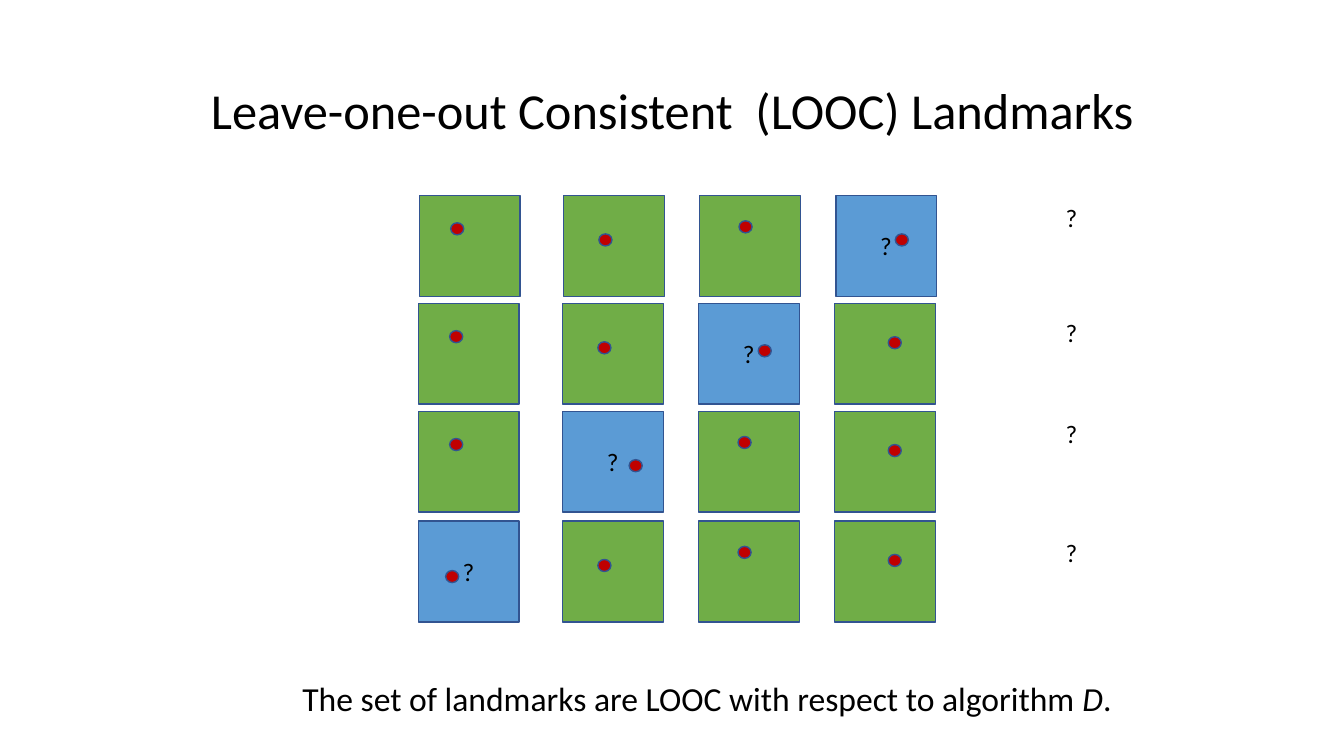
from dataclasses import dataclass

from pptx import Presentation
from pptx import util as u
from pptx.dml.color import RGBColor
from pptx.enum import shapes, text

PX = 9144


@dataclass(frozen=True)
class Theme:
    font: str = "Calibri"
    ink: str = "000000"
    known: str = "70AD47"
    left_out: str = "5B9BD5"
    landmark: str = "C00000"
    outline: str = "325491"
    title: int = 36
    caption: int = 24
    mark: int = 18


THEME = Theme()
CELL = 100
COLUMNS = (415, 558, 693, 828)
ROWS = ((1, 194), (0, 301), (0, 408), (0, 517))
KNOWN_DOTS = ((31, 27), (35, 38), (39, 25), (53, 33))
PREDICTED_DOTS = ((27, 49), (66, 48), (59, 41), (59, 38))
SIDE_MARKS = (196, 310, 410, 528)


def px(*lengths):
    return [u.Emu(n * PX) for n in lengths]


def add_text(s, box, runs, size, wrap=False, align=text.PP_ALIGN.LEFT,
             anchor=text.MSO_ANCHOR.TOP, spacing=1.0):
    tf = s.shapes.add_textbox(*px(*box)).text_frame
    tf.word_wrap = wrap
    tf.vertical_anchor = anchor
    p = tf.paragraphs[0]
    p.alignment = align
    p.line_spacing = spacing
    for words, italic in runs:
        r = p.add_run()
        r.text = words
        r.font.name = THEME.font
        r.font.size = u.Pt(size)
        r.font.italic = italic
        r.font.color.rgb = RGBColor.from_string(THEME.ink)


def add_shape(s, kind, box, fill):
    sp = s.shapes.add_shape(kind, *px(*box))
    sp.shadow.inherit = False
    sp.fill.solid()
    sp.fill.fore_color.rgb = RGBColor.from_string(fill)
    sp.line.color.rgb = RGBColor.from_string(THEME.outline)
    sp.line.width = u.Pt(1)


def add_mark(s, x, y):
    add_text(s, (x, y, 32, 40), [("?", False)], THEME.mark)


def add_cell(s, x, y, column, left_out):
    fill = THEME.left_out if left_out else THEME.known
    dx, dy = (PREDICTED_DOTS if left_out else KNOWN_DOTS)[column]
    add_shape(s, shapes.MSO_SHAPE.RECTANGLE, (x, y, CELL, CELL), fill)
    if left_out:
        add_mark(s, x + 34, y + 30)
    add_shape(s, shapes.MSO_SHAPE.OVAL, (x + dx, y + dy, 13, 12), THEME.landmark)


def main():
    """Build the slide of leave-one-out landmark rows."""
    prs = Presentation()
    prs.slide_width, prs.slide_height = px(1333, 750)
    s = prs.slides.add_slide(prs.slide_layouts[6])
    add_text(s, (92, 40, 1150, 145),
             [("Leave-one-out Consistent  (LOOC) Landmarks", False)],
             THEME.title, wrap=True, align=text.PP_ALIGN.CENTER,
             anchor=text.MSO_ANCHOR.MIDDLE, spacing=0.9)
    add_text(s, (290, 668, 830, 50),
             [("The set of landmarks are LOOC with respect to algorithm ", False),
              ("D", True), (".", False)], THEME.caption)
    for row, (shift, y) in enumerate(ROWS):
        for column, x in enumerate(COLUMNS):
            add_cell(s, x + shift, y, column, row + column == len(ROWS) - 1)
    for y in SIDE_MARKS:
        add_mark(s, 1047, y)
    prs.save("out.pptx")


if __name__ == "__main__":
    main()
